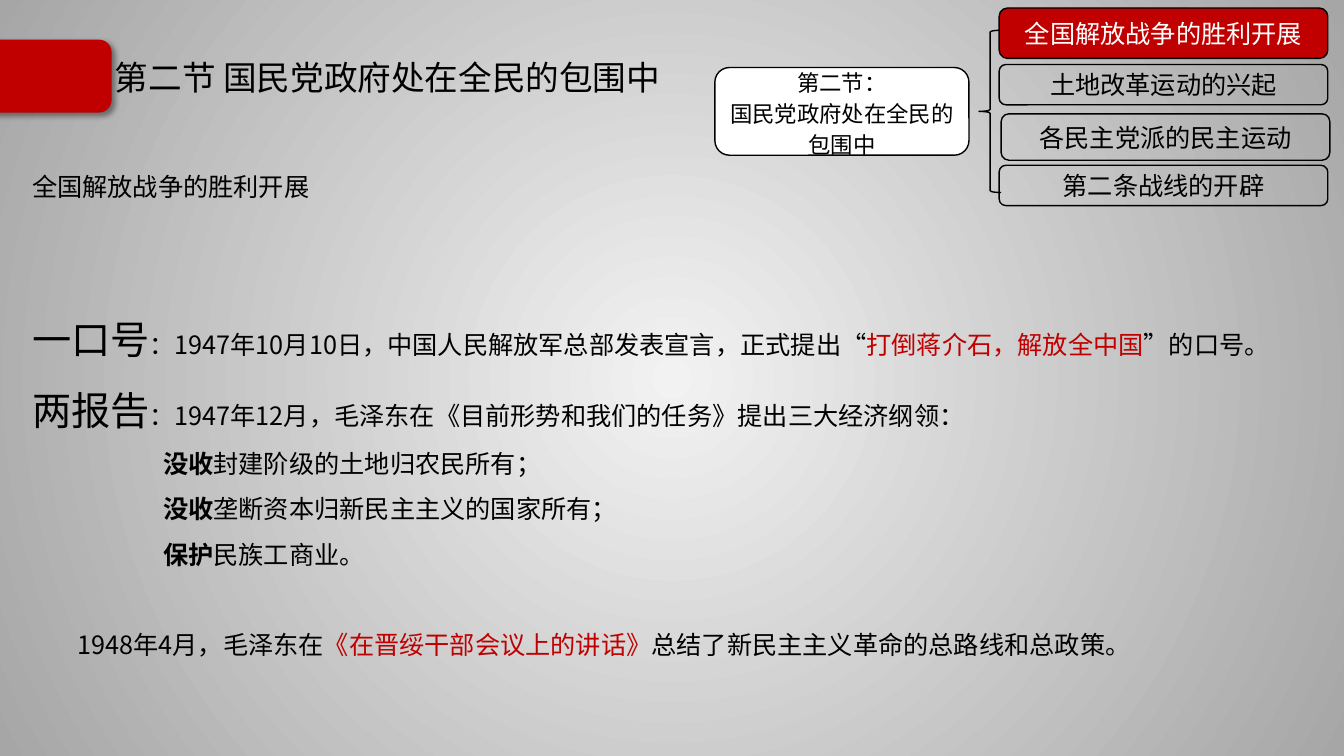
from dataclasses import dataclass

from lxml.etree import SubElement
from pptx import Presentation
from pptx.dml.color import RGBColor
from pptx.enum.shapes import MSO_SHAPE
from pptx.enum.text import MSO_ANCHOR, MSO_AUTO_SIZE, PP_ALIGN
from pptx.oxml import parse_xml
from pptx.oxml.ns import nsdecls, qn
from pptx.util import Inches, Pt


@dataclass(frozen=True)
class Theme:
    black: str = "000000"
    white: str = "FFFFFF"
    red: str = "C00000"
    light: str = "F2F2F2"
    dark: str = "A6A6A6"
    head: str = "Noto Sans CJK JP"
    body: str = "Noto Sans CJK SC"
    title: int = 24
    lead: int = 28
    text: int = 18
    card: int = 16
    row: float = 32.4
    tall: float = 50.3


T = Theme()


def rgb(code):
    return RGBColor.from_string(code)


def write(para, text, size=T.text, color=T.black, bold=False, font=T.body):
    run = para.add_run()
    run.text = text
    run.font.size = Pt(size)
    run.font.bold = bold
    run.font.name = font
    run.font.color.rgb = rgb(color)
    SubElement(run.font._element, qn("a:ea"), typeface=font)


def place(shape, box):
    shape.left, shape.top, shape.width, shape.height = map(Inches, box)


def draw(slide, kind, box, fill=None, line=T.black):
    shape = slide.shapes.add_shape(kind, *map(Inches, box))
    shape.shadow.inherit = False
    if fill:
        shape.fill.solid()
        shape.fill.fore_color.rgb = rgb(fill)
    else:
        shape.fill.background()
    shape.line.color.rgb = rgb(line)
    shape.line.width = Pt(1)
    return shape


def label(slide, box, lines, fill=None, color=T.black, size=T.text, pitch=None):
    """Rounded box with centred lines of text."""
    frame = draw(slide, MSO_SHAPE.ROUNDED_RECTANGLE, box, fill).text_frame
    frame.word_wrap = True
    frame.vertical_anchor = MSO_ANCHOR.MIDDLE
    frame.margin_top = frame.margin_bottom = 0
    for i, line in enumerate(lines):
        para = frame.add_paragraph() if i else frame.paragraphs[0]
        para.alignment = PP_ALIGN.CENTER
        if pitch:
            para.line_spacing = Pt(pitch)
        write(para, line, size=size, color=color)


def paint(slide):
    """Round gradient, light in the middle of the slide."""
    fill = slide.background.fill
    fill.gradient()
    for stop, code in zip(fill.gradient_stops, (T.light, T.dark)):
        stop.color.rgb = rgb(code)
    grad = slide._element.find(".//" + qn("a:gradFill"))
    grad.remove(grad.find(qn("a:lin")))
    ring = SubElement(grad, qn("a:path"), path="circle")
    SubElement(ring, qn("a:fillToRect"), l="50000", t="50000", r="50000", b="50000")


def header(slide, box):
    left, top, width, height = box
    tab = draw(slide, MSO_SHAPE.ROUNDED_RECTANGLE,
               (left, top, 1.28, height), T.red, T.red)
    glow = tab._element.spPr.find(qn("a:effectLst"))
    glow.append(parse_xml(
        f'<a:outerShdw {nsdecls("a")} blurRad="{Pt(4)}" dist="{Pt(3)}" '
        'dir="2700000" algn="tl" rotWithShape="0"><a:srgbClr val="000000">'
        '<a:alpha val="40000"/></a:srgbClr></a:outerShdw>'))
    title = slide.shapes.title
    place(title, (left + 1.22, top + 0.09, width - 1.22, 0.59))
    frame = title.text_frame
    frame.auto_size = MSO_AUTO_SIZE.NONE
    frame.vertical_anchor = MSO_ANCHOR.MIDDLE
    para = frame.paragraphs[0]
    para.alignment = PP_ALIGN.LEFT
    para.line_spacing = 0.9
    write(para, "第二节 国民党政府处在全民的包围中", size=T.title, font=T.head)


def outline(slide, box):
    """Section card, brace and its four topics."""
    left, top, width, height = box
    label(slide, (left, top + 0.59, 2.52, 0.87),
          ("第二节：", "国民党政府处在全民的", "包围中"),
          fill=T.white, size=T.card, pitch=22.3)
    draw(slide, MSO_SHAPE.LEFT_BRACE, (left + 2.62, top + 0.22, 0.22, 1.61))
    topics = (
        ("全国解放战争的胜利开展", 0, 0, 0.5),
        ("土地改革运动的兴起", 0, 0.56, 0.4),
        ("各民主党派的民主运动", 0.02, 1.05, 0.46),
        ("第二条战线的开辟", 0, 1.56, 0.4),
    )
    for i, (text, dx, dy, tall) in enumerate(topics):
        style = {} if i else {"fill": T.red, "color": T.white}
        label(slide, (left + 2.82 + dx, top + dy, width - 2.84, tall), [text], **style)


def body(slide, box):
    big = {"size": T.lead}
    red = {"color": T.red}
    bold = {"bold": True}
    # indent in inches, space before and line pitch in points, runs
    rows = (
        (0, 0, T.row, [("全国解放战争的胜利开展", {})]),
        (0, 2 * T.row, T.tall, [
            ("一口号", big),
            ("：1947年10月10日，中国人民解放军总部发表宣言，正式提出“", {}),
            ("打倒蒋介石，解放全中国", red), ("”的口号。", {})]),
        (0, 0, T.tall, [
            ("两报告", big),
            ("：1947年12月，毛泽东在《目前形势和我们的任务》提出三大经济纲领：", {})]),
        (1.3, 0, T.row, [("没收", bold), ("封建阶级的土地归农民所有；", {})]),
        (1.3, 0, T.row, [("没收", bold), ("垄断资本归新民主主义的国家所有；", {})]),
        (1.3, 0, T.row, [("保护", bold), ("民族工商业。", {})]),
        (0.45, T.row, T.row, [
            ("1948年4月，毛泽东在", {}), ("《在晋绥干部会议上的讲话》", red),
            ("总结了新民主主义革命的总路线和总政策。", {})]),
    )
    frame = slide.shapes.add_textbox(*map(Inches, box)).text_frame
    frame.word_wrap = True
    for i, (indent, gap, pitch, runs) in enumerate(rows):
        para = frame.add_paragraph() if i else frame.paragraphs[0]
        para.line_spacing = Pt(pitch)
        if gap:
            para.space_before = Pt(gap)
        if indent:
            para._p.get_or_add_pPr().set("marL", str(Inches(indent)))
        for text, style in runs:
            write(para, text, **style)


def main():
    deck = Presentation()
    deck.slide_width, deck.slide_height = Inches(13.33), Inches(7.5)
    slide = deck.slides.add_slide(deck.slide_layouts[5])
    paint(slide)
    header(slide, (-0.18, 0.4, 12.37, 0.71))
    body(slide, (0.22, 1.5, 12.9, 5.36))
    outline(slide, (7.09, 0.08, 6.1, 1.96))
    deck.save("out.pptx")


if __name__ == "__main__":
    main()
